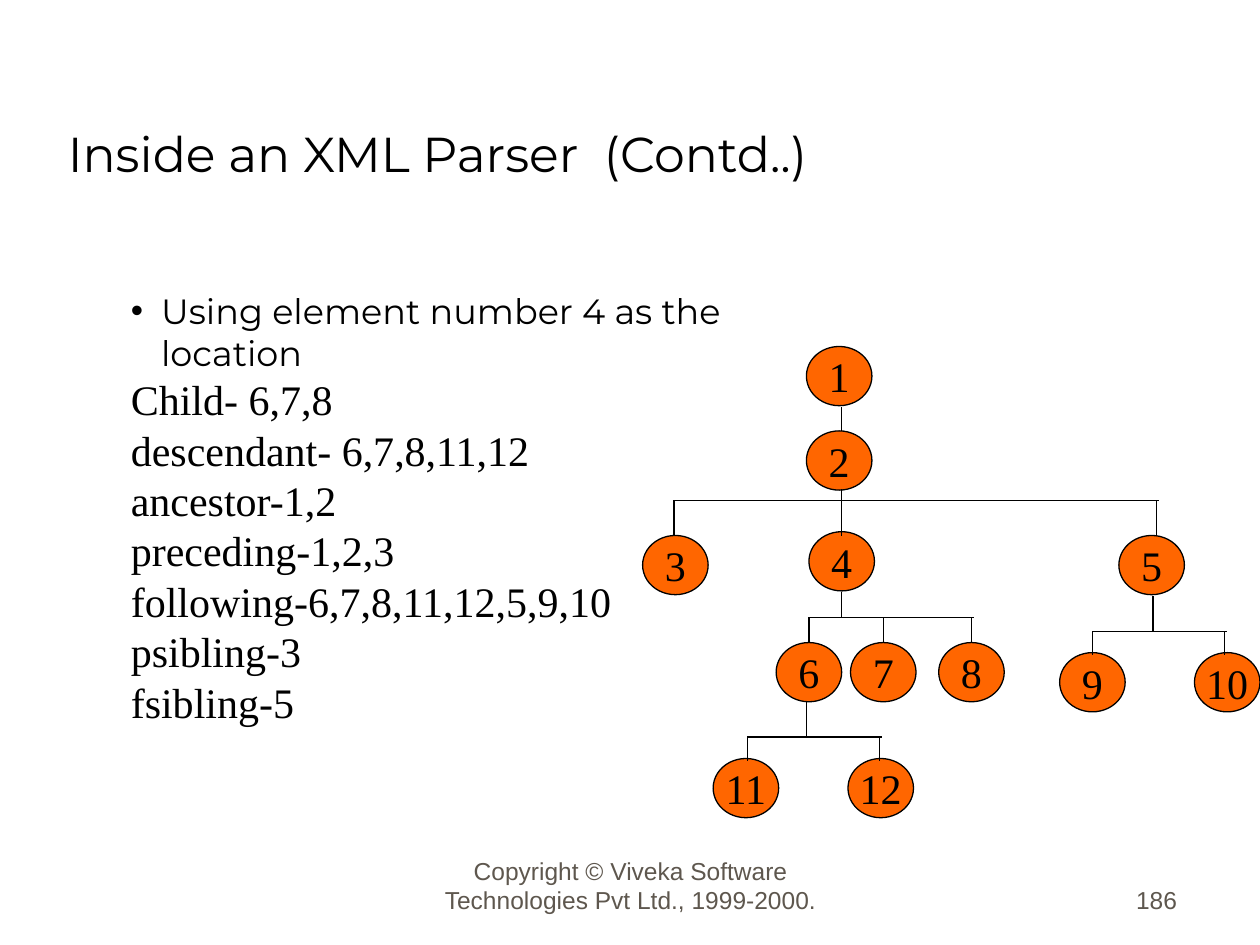
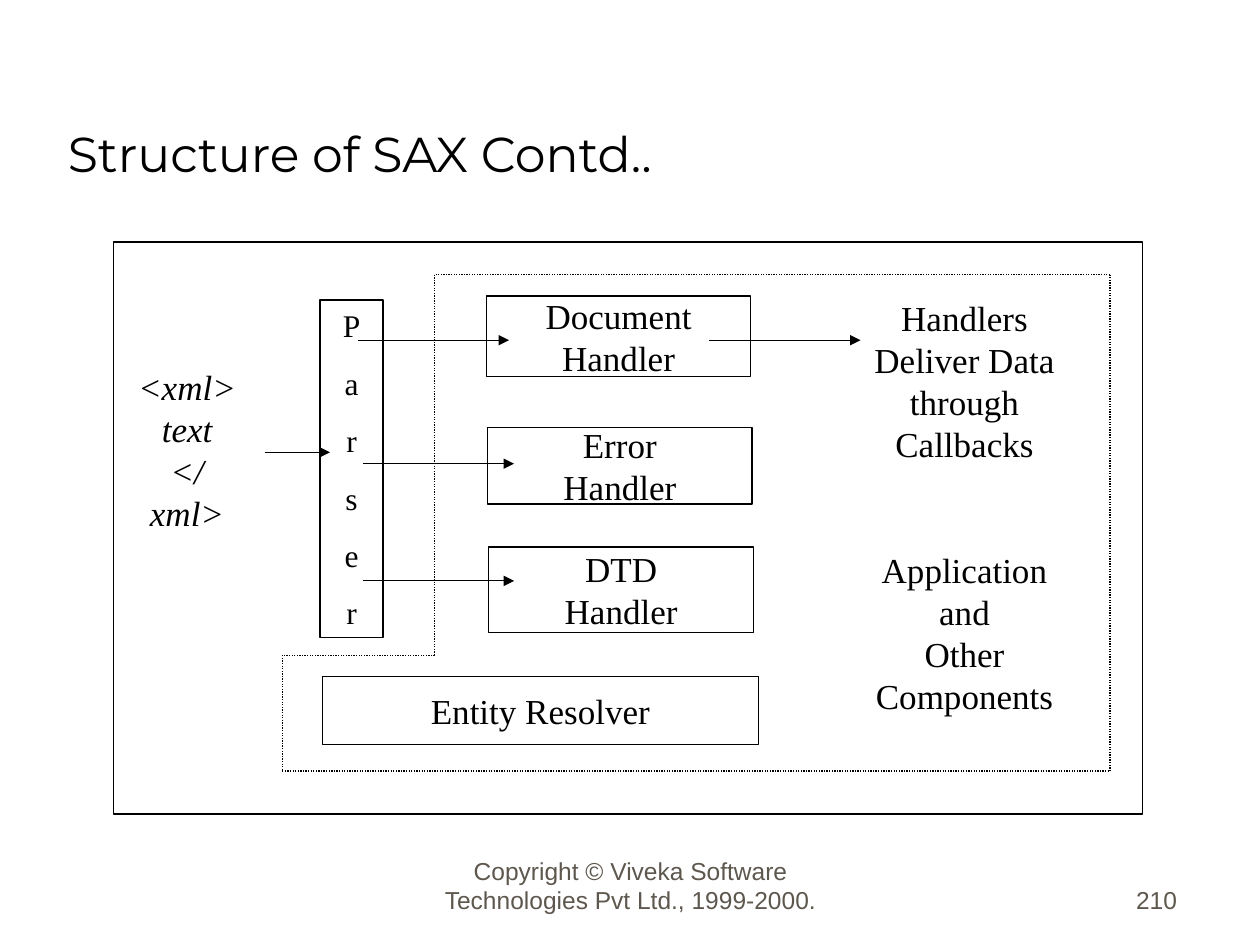
"""Builds two slides on XML parsing: a numbered element tree and the structure of SAX."""
import dataclasses
import itertools

import lxml.etree
import pptx
import pptx.dml.color
import pptx.enum.dml
import pptx.enum.shapes
import pptx.enum.text
import pptx.oxml.ns
import pptx.util

SHAPE = pptx.enum.shapes.MSO_SHAPE
ALIGN = pptx.enum.text.PP_ALIGN
ANCHOR = pptx.enum.text.MSO_ANCHOR
RGB = pptx.dml.color.RGBColor
qn = pptx.oxml.ns.qn


@dataclasses.dataclass(frozen=True)
class Theme:
    ink: RGB = RGB(0, 0, 0)
    paper: RGB = RGB(255, 255, 255)
    node: RGB = RGB(0xFF, 0x66, 0x00)
    footer: RGB = RGB(0x5E, 0x57, 0x4E)
    heading_face: str = "Montserrat"
    body_face: str = "Times New Roman"
    footer_face: str = "Arial"
    title_size: float = 28
    tree_size: float = 24
    text_size: float = 20
    letter_size: float = 18
    footer_size: float = 14
    stroke: float = 0.75


theme = Theme()
deck = pptx.Presentation()
deck.slide_width = pptx.util.Inches(10)
deck.slide_height = pptx.util.Inches(7.5)
COLUMN = deck.slide_width / 100
ROW = deck.slide_height / 75


def place(slide, area, lines=(), kind=None, fill=None, stroke=theme.stroke, face=theme.body_face,
          size=theme.text_size, color=theme.ink, align=ALIGN.CENTER, anchor=ANCHOR.MIDDLE,
          wrap=False, gap=0, italic=False):
    """Puts lines of text in an area of the grid, inside a preset shape if a kind is given."""
    left, top, width, height = area
    bounds = [int(v) for v in (left * COLUMN, top * ROW, width * COLUMN, height * ROW)]
    if kind is None:
        part = slide.shapes.add_textbox(*bounds)
    else:
        part = slide.shapes.add_shape(kind, *bounds)
        part.shadow.inherit = False
        part.line.color.rgb = theme.ink
        part.line.width = pptx.util.Pt(stroke)
        if fill is None:
            part.fill.background()
        else:
            part.fill.solid()
            part.fill.fore_color.rgb = fill
    frame = part.text_frame
    frame.word_wrap = wrap
    frame.vertical_anchor = anchor
    for index, line in enumerate(lines):
        paragraph = frame.add_paragraph() if index else frame.paragraphs[0]
        paragraph.alignment = align
        if index and gap:
            paragraph.space_before = pptx.util.Pt(gap)
        run = paragraph.add_run()
        run.text = line
        run.font.name = face
        run.font.size = pptx.util.Pt(size)
        run.font.color.rgb = color
        run.font.italic = italic
    return frame


def rule(slide, start, end, dash=None, arrow=False):
    """Draws a straight line between two points of the grid."""
    points = [int(v) for v in (start[0] * COLUMN, start[1] * ROW, end[0] * COLUMN, end[1] * ROW)]
    link = slide.shapes.add_connector(pptx.enum.shapes.MSO_CONNECTOR.STRAIGHT, *points)
    link.line.color.rgb = theme.ink
    link.line.width = pptx.util.Pt(theme.stroke)
    if dash is not None:
        link.line.dash_style = dash
    properties = link._element.spPr
    if arrow:
        lxml.etree.SubElement(properties.find(qn("a:ln")), qn("a:tailEnd"), type="triangle")
    lxml.etree.SubElement(properties, qn("a:effectLst"))


pages = []
for title, number in (("Inside an XML Parser  (Contd..)", "186"), ("Structure of SAX Contd..", "210")):
    page = deck.slides.add_slide(deck.slide_layouts[6])
    page.background.fill.solid()
    page.background.fill.fore_color.rgb = theme.paper
    place(page, (4.4, 2.5, 85, 12.5), [title], face=theme.heading_face, size=theme.title_size,
          align=ALIGN.LEFT, anchor=ANCHOR.BOTTOM, wrap=True)
    for area, note, align in (
        ((34.2, 68.1, 31.7, 5), "Copyright © Viveka Software Technologies Pvt Ltd., 1999-2000.", ALIGN.CENTER),
        ((73.6, 68.1, 20.8, 5), number, ALIGN.RIGHT),
    ):
        place(page, area, [note], face=theme.footer_face, size=theme.footer_size, color=theme.footer,
              align=align, anchor=ANCHOR.BOTTOM, wrap=True)
    pages.append(page)
tree_page, sax_page = pages

elements = [
    (64, 27.5), (64, 34.2), (51, 42.5), (64.2, 42.2), (88.8, 42.5), (61.6, 51),
    (67.5, 51), (74.5, 51), (84.1, 51.8), (94.8, 51.8), (56.6, 60.2), (67.3, 60.2),
]
for number, corner in enumerate(elements, 1):
    place(tree_page, (*corner, 5.2, 4.7), [str(number)], kind=SHAPE.FLOWCHART_CONNECTOR,
          fill=theme.node, size=theme.tree_size)

rule(tree_page, (66.8, 32.3), (66.8, 34.2))
branches = [
    (66.8, 38.8, 39.7, 42.5, (53.5, 66.8, 91.8)),
    (91.5, 47.3, 50.1, 52, (86.7, 97.2)),
    (66.8, 47, 49, 51, (64.2, 70.1, 77.1)),
    (64, 55.7, 58.5, 60.4, (59.3, 69.8)),
]
for stem, parent_foot, bar, child_head, children in branches:
    rule(tree_page, (stem, parent_foot), (stem, bar))
    rule(tree_page, (children[0], bar), (children[-1] + 0.2, bar))
    for child in children:
        rule(tree_page, (child, bar), (child, child_head))

axes = place(tree_page, (9.4, 22.5, 55.3, 32.4), [
    "Using element number 4 as the location", "Child- 6,7,8", "descendant- 6,7,8,11,12",
    "ancestor-1,2", "preceding-1,2,3", "following-6,7,8,11,12,5,9,10", "psibling-3", "fsibling-5",
], size=theme.tree_size, align=ALIGN.LEFT, anchor=ANCHOR.TOP, wrap=True)
location = axes.paragraphs[0]
location.runs[0].font.name = theme.heading_face
location.runs[0].font.size = pptx.util.Pt(theme.text_size)
bullet = location._p.get_or_add_pPr()
bullet.set("marL", str(int(2.4 * COLUMN)))
bullet.set("indent", str(int(-2.4 * COLUMN)))
lxml.etree.SubElement(bullet, qn("a:buFont"), typeface=theme.footer_face)
lxml.etree.SubElement(bullet, qn("a:buChar"), char="•")

place(sax_page, (9, 19.2, 81.7, 45.4), kind=SHAPE.RECTANGLE, fill=theme.paper)
place(sax_page, (25.4, 23.8, 5, 26.8), "Parser", kind=SHAPE.RECTANGLE, stroke=1,
      size=theme.letter_size, wrap=True, gap=11.2)
for area, lines in (
    ((38.6, 23.5, 21, 6.4), ["Document", "Handler"]),
    ((38.7, 33.9, 21, 6.1), ["Error", "Handler"]),
    ((38.8, 43.4, 21, 6.8), ["DTD", "Handler"]),
    ((25.6, 53.7, 34.6, 5.4), ["Entity Resolver"]),
):
    place(sax_page, area, lines, kind=SHAPE.RECTANGLE, fill=theme.paper)

place(sax_page, (9.6, 30.2, 10.5, 11), ["<xml>", "text", "</xml>"], italic=True)
application = place(sax_page, (68.4, 23, 16.3, 34.4), [
    "Handlers", "Deliver Data", "through", "Callbacks", "Application", "and", "Other", "Components",
])
application.paragraphs[4].space_before = pptx.util.Pt(48)

boundary = [(34.5, 21.8), (34.5, 52), (22.4, 52), (22.4, 61.2), (88.1, 61.2), (88.1, 21.8)]
for start, end in itertools.pairwise(boundary + boundary[:1]):
    rule(sax_page, start, end, dash=pptx.enum.dml.MSO_LINE.ROUND_DOT)
for left, row, length in ((21, 35.9, 5.2), (28.4, 27, 12), (28.8, 36.8, 12), (28.8, 46.1, 12), (56.3, 27, 12)):
    rule(sax_page, (left, row), (left + length, row), arrow=True)

deck.save("out.pptx")
